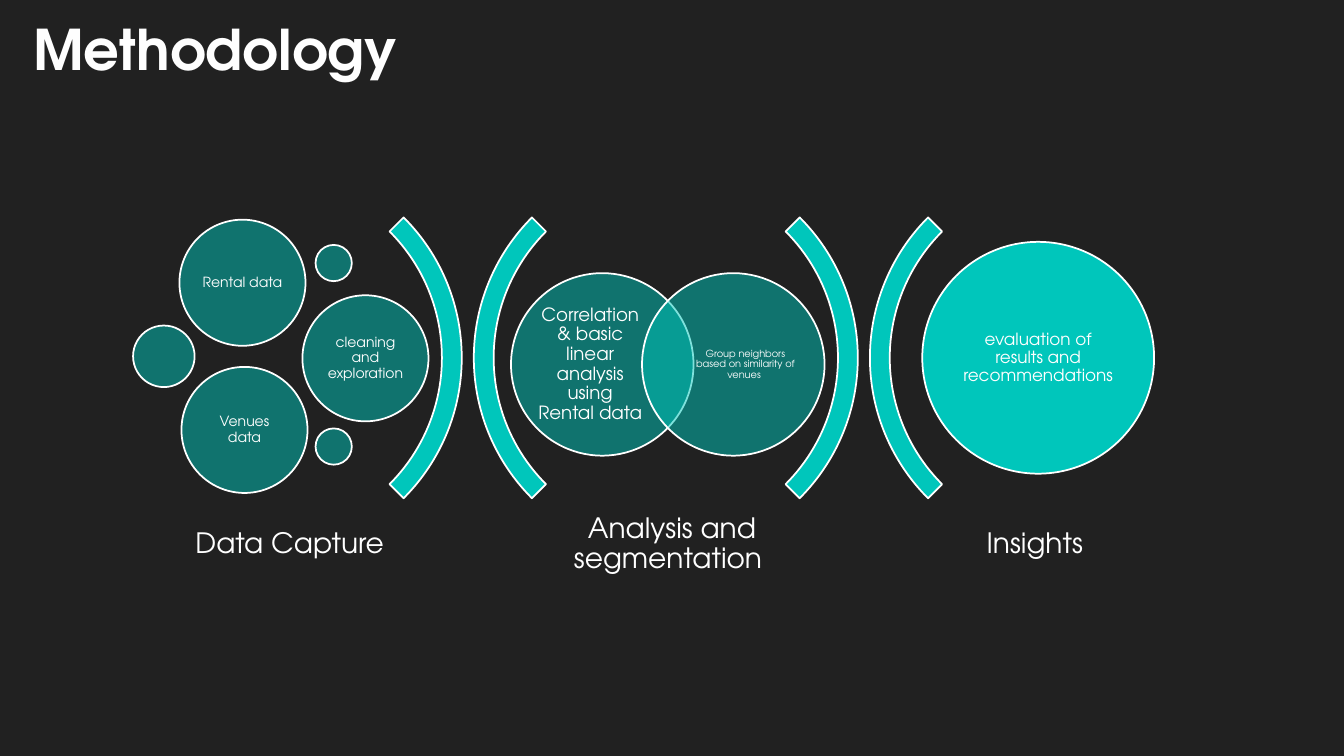
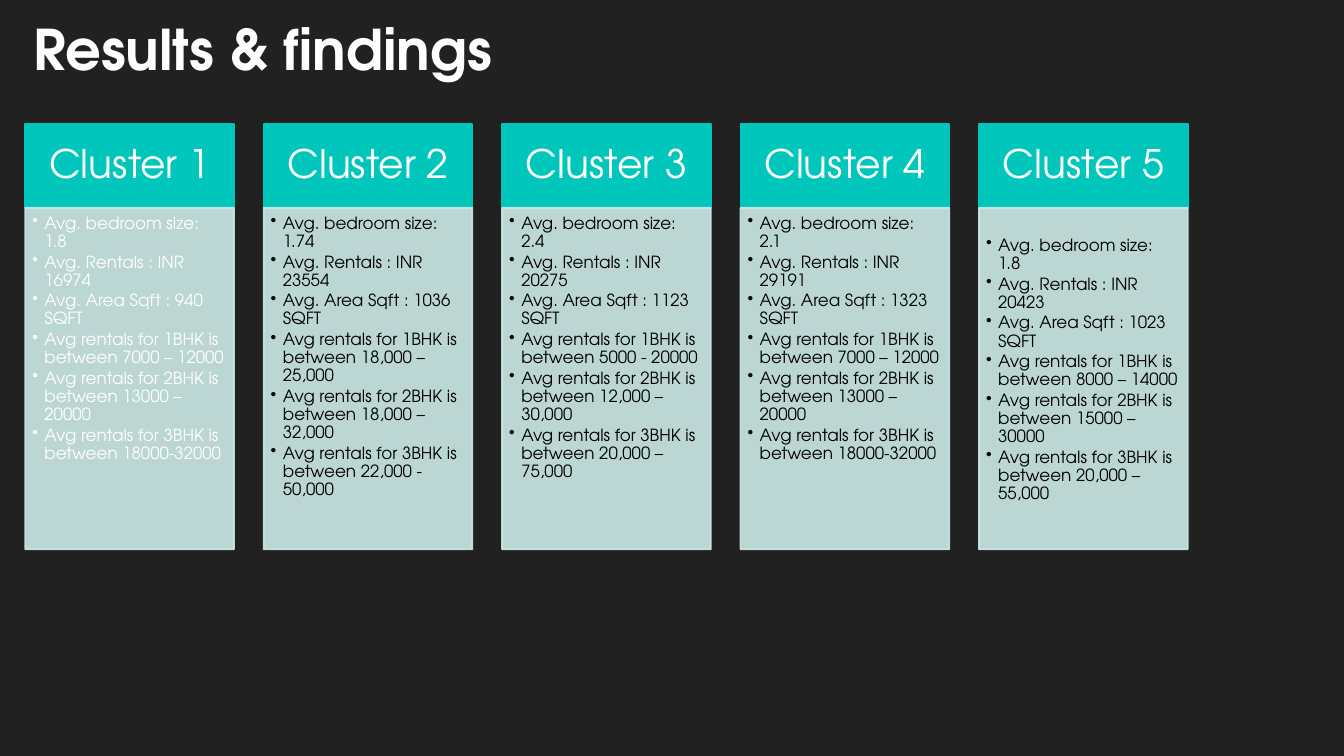
from lxml.etree import SubElement
from pptx import Presentation
from pptx.dml.color import RGBColor
from pptx.enum.shapes import MSO_SHAPE
from pptx.enum.text import MSO_ANCHOR, PP_ALIGN
from pptx.oxml.ns import qn
from pptx.util import Inches, Pt

WIDTH, HEIGHT = Inches(13.333), Inches(7.5)
FONT = "TeX Gyre Adventor"
COLORS = {
    "night": "212121",
    "title": "FEFEFE",
    "white": "FFFFFF",
    "black": "000000",
    "teal": "00C6BB",
    "mist": "CCEAE7",
}

ARC_DIAMETER, ARC_Y = 29.55, 47.33
ARCS = [(19.58, 90), (50.03, 270), (49.05, 90), (79.5, 270)]
PHASES = [
    (21.56, "Data Capture"),
    (50, "Analysis and segmentation "),
    (77.29, "Insights "),
]
LARGE, MEDIUM, SMALL = 9.38, 4.58, 2.7
CAPTURE_BUBBLES = [
    (18.04, 37.4, LARGE, "Rental data"),
    (12.19, 47.13, MEDIUM, ""),
    (24.83, 34.8, SMALL, ""),
    (27.19, 47.4, LARGE, "cleaning and exploration"),
    (24.83, 59.07, SMALL, ""),
    (18.19, 56.87, LARGE, "Venues data"),
]
VENN_SETS = [
    (44.81, "Correlation & basic linear analysis using Rental data", 13, (0, 0, 0.24, 0)),
    (54.56, "Group neighbors based on similarity of venues ", 7, (0.24, 0, 0, 0)),
]

CLUSTER_LEFT, CLUSTER_PITCH, CLUSTER_WIDTH = 1.88, 17.74, 15.53
HEADER_TOP, HEADER_HEIGHT, FACTS_HEIGHT = 16.4, 11.07, 45.2
FACT_LABELS = [
    "Avg. bedroom size: {}",
    "Avg. Rentals : INR {}",
    "Avg. Area Sqft : {} SQFT",
    "Avg rentals for 1BHK is between {}",
    "Avg rentals for 2BHK is between {}",
    "Avg rentals for 3BHK is between {}",
]
CLUSTERS = [
    ("1.8", "16974", "940", "7000 – 12000", "13000 – 20000", "18000-32000"),
    ("1.74", "23554", "1036", "18,000 – 25,000", "18,000 – 32,000", "22,000 - 50,000"),
    ("2.4", "20275", "1123", "5000 - 20000", "12,000 – 30,000", "20,000 – 75,000"),
    ("2.1", "29191", "1323", "7000 – 12000", "13000 – 20000", "18000-32000"),
    ("1.8", "20423", "1023", "8000 – 14000", "15000 – 30000", "20,000 – 55,000"),
]


def rgb(color):
    return RGBColor.from_string(COLORS[color])


def across(percent):
    return round(WIDTH * percent / 100)


def down(percent):
    return round(HEIGHT * percent / 100)


def box(left, top, width, height):
    return across(left), down(top), across(width), down(height)


def circle_box(x, y, diameter):
    size = across(diameter)
    return across(x) - size // 2, down(y) - size // 2, size, size


def set_alpha(fill_parent, alpha):
    color = fill_parent.find(".//" + qn("a:srgbClr"))
    SubElement(color, qn("a:alpha"), val=str(alpha * 1000))


def add_figure(slide, preset, place, fill, line, fill_alpha=100, line_alpha=100):
    figure = slide.shapes.add_shape(preset, *place)
    figure.shadow.inherit = False
    figure.fill.solid()
    figure.fill.fore_color.rgb = rgb(fill)
    if fill_alpha < 100:
        set_alpha(figure.fill._xPr.find(qn("a:solidFill")), fill_alpha)
    figure.line.color.rgb = rgb(line)
    figure.line.width = Pt(1.25)
    if line_alpha < 100:
        set_alpha(figure.line._get_or_add_ln(), line_alpha)
    return figure


def set_frame(holder, insets, anchor=MSO_ANCHOR.MIDDLE):
    frame = holder.text_frame
    frame.word_wrap = True
    frame.vertical_anchor = anchor
    frame.margin_left, frame.margin_top, frame.margin_right, frame.margin_bottom = map(Inches, insets)
    return frame


def add_run(paragraph, text, size, color, bold=False):
    run = paragraph.add_run()
    run.text = text
    run.font.name = FONT
    run.font.size = Pt(size)
    run.font.bold = bold
    run.font.color.rgb = rgb(color)
    return run


def write_caption(holder, text, size, insets):
    paragraph = set_frame(holder, insets).paragraphs[0]
    paragraph.alignment = PP_ALIGN.CENTER
    paragraph.line_spacing = 0.9
    paragraph.space_after = Pt(size * 0.35)
    add_run(paragraph, text, size, "white")


def write_bullets(holder, lines, size, color, insets):
    frame = set_frame(holder, insets, MSO_ANCHOR.TOP)
    for index, line in enumerate(lines):
        paragraph = frame.add_paragraph() if index else frame.paragraphs[0]
        paragraph.alignment = PP_ALIGN.LEFT
        paragraph.line_spacing = 0.9
        paragraph.space_after = Pt(size * 0.15)
        properties = paragraph._p.get_or_add_pPr()
        properties.set("marL", str(Inches(0.12)))
        properties.set("indent", str(-Inches(0.12)))
        SubElement(properties, qn("a:buChar"), char="•")
        add_run(paragraph, line, size, color)


def add_text_shadow(run):
    fill = run._r.get_or_add_rPr().find(qn("a:solidFill"))
    effects = SubElement(fill.getparent(), qn("a:effectLst"))
    fill.addnext(effects)
    shadow = SubElement(effects, qn("a:outerShdw"), blurRad="50800", dist="38100", dir="2700000", algn="tl")
    color = SubElement(shadow, qn("a:srgbClr"), val=COLORS["black"])
    SubElement(color, qn("a:alpha"), val="45000")


def add_titled_slide(deck, heading):
    slide = deck.slides.add_slide(deck.slide_layouts[6])
    slide.background.fill.solid()
    slide.background.fill.fore_color.rgb = rgb("night")
    title = slide.shapes.add_textbox(*box(1.73, -2.67, 86.7, 14.13))
    frame = set_frame(title, (0.1, 0.05, 0.1, 0.05), MSO_ANCHOR.BOTTOM)
    add_text_shadow(add_run(frame.paragraphs[0], heading, 40, "title", bold=True))
    return slide


def add_arc(slide, x, rotation):
    arc = add_figure(slide, MSO_SHAPE.BLOCK_ARC, circle_box(x, ARC_Y, ARC_DIAMETER), "teal", "white")
    for index, value in enumerate((135, 189, 0.05)):
        arc.adjustments[index] = value
    arc.rotation = rotation


def add_bubble(slide, x, y, diameter, text, size, insets, alpha=50):
    bubble = add_figure(slide, MSO_SHAPE.OVAL, circle_box(x, y, diameter), "teal", "white", alpha)
    if text:
        write_caption(bubble, text, size, insets)


def add_phase_label(slide, x, text):
    width = 22.43
    label = slide.shapes.add_textbox(*box(x - width / 2, 66.8, width, 10.53))
    write_caption(label, text, 20, (0.08,) * 4)


def add_cluster(slide, index, values):
    left = CLUSTER_LEFT + index * CLUSTER_PITCH
    header = add_figure(
        slide, MSO_SHAPE.RECTANGLE, box(left, HEADER_TOP, CLUSTER_WIDTH, HEADER_HEIGHT), "teal", "teal")
    write_caption(header, f"Cluster {index + 1}", 28, (0.22, 0.12, 0.22, 0.12))
    facts = add_figure(
        slide, MSO_SHAPE.RECTANGLE,
        box(left, HEADER_TOP + HEADER_HEIGHT, CLUSTER_WIDTH, FACTS_HEIGHT), "mist", "mist", 90, 90)
    lines = [label.format(value) for label, value in zip(FACT_LABELS, values)]
    color = "white" if index == 0 else "black"
    top_inset = 0.29 if index == len(CLUSTERS) - 1 else 0.07
    write_bullets(facts, lines, 12, color, (0.07, top_inset, 0.09, 0.1))


def build_methodology(deck):
    slide = add_titled_slide(deck, "Methodology")
    for x, rotation in ARCS:
        add_arc(slide, x, rotation)
    for x, y, diameter, text in CAPTURE_BUBBLES:
        add_bubble(slide, x, y, diameter, text, 10, (0.04,) * 4)
    for x, text, size, insets in VENN_SETS:
        add_bubble(slide, x, 48.2, 13.58, text, size, insets)
    add_bubble(slide, 77.25, ARC_Y, 17.25, "evaluation of results and recommendations", 12, (0.05,) * 4, 100)
    for x, text in PHASES:
        add_phase_label(slide, x, text)


def build_results(deck):
    slide = add_titled_slide(deck, "Results & findings")
    for index, values in enumerate(CLUSTERS):
        add_cluster(slide, index, values)


def main():
    deck = Presentation()
    deck.slide_width, deck.slide_height = WIDTH, HEIGHT
    build_methodology(deck)
    build_results(deck)
    deck.save("out.pptx")


if __name__ == "__main__":
    main()
